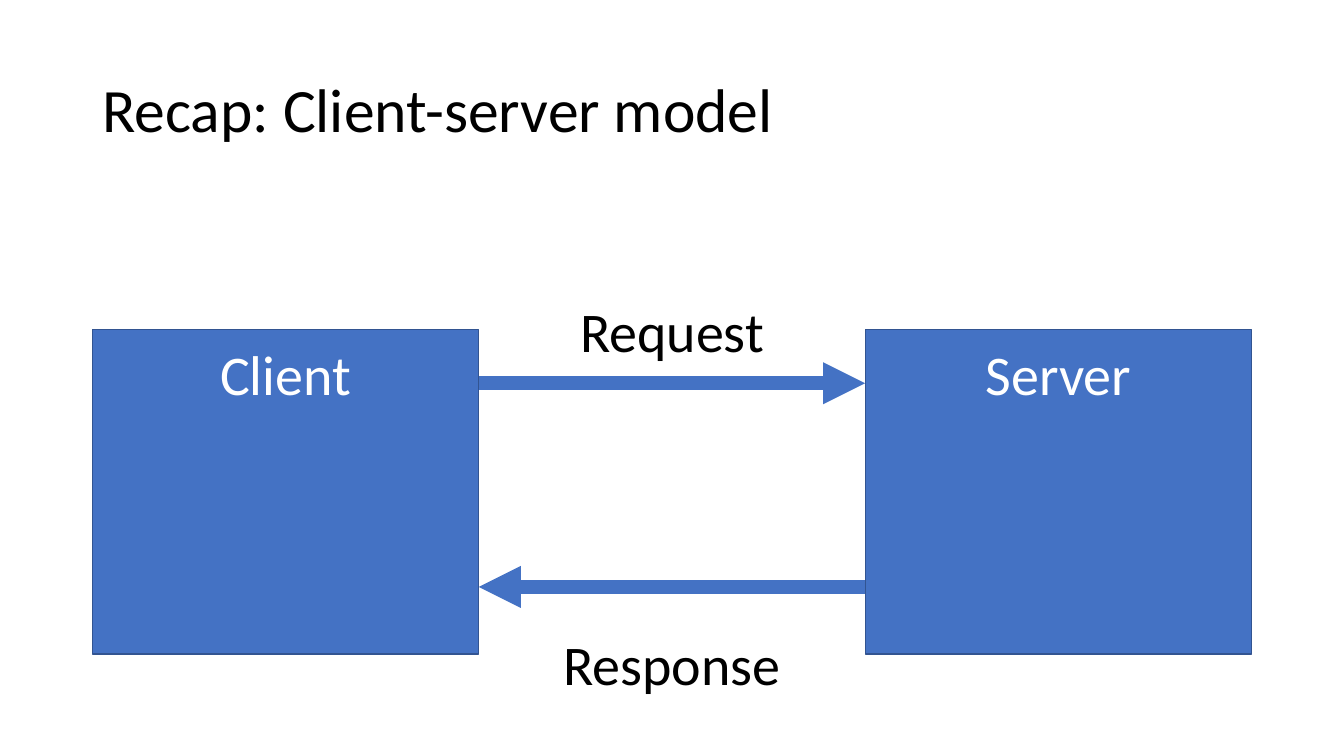
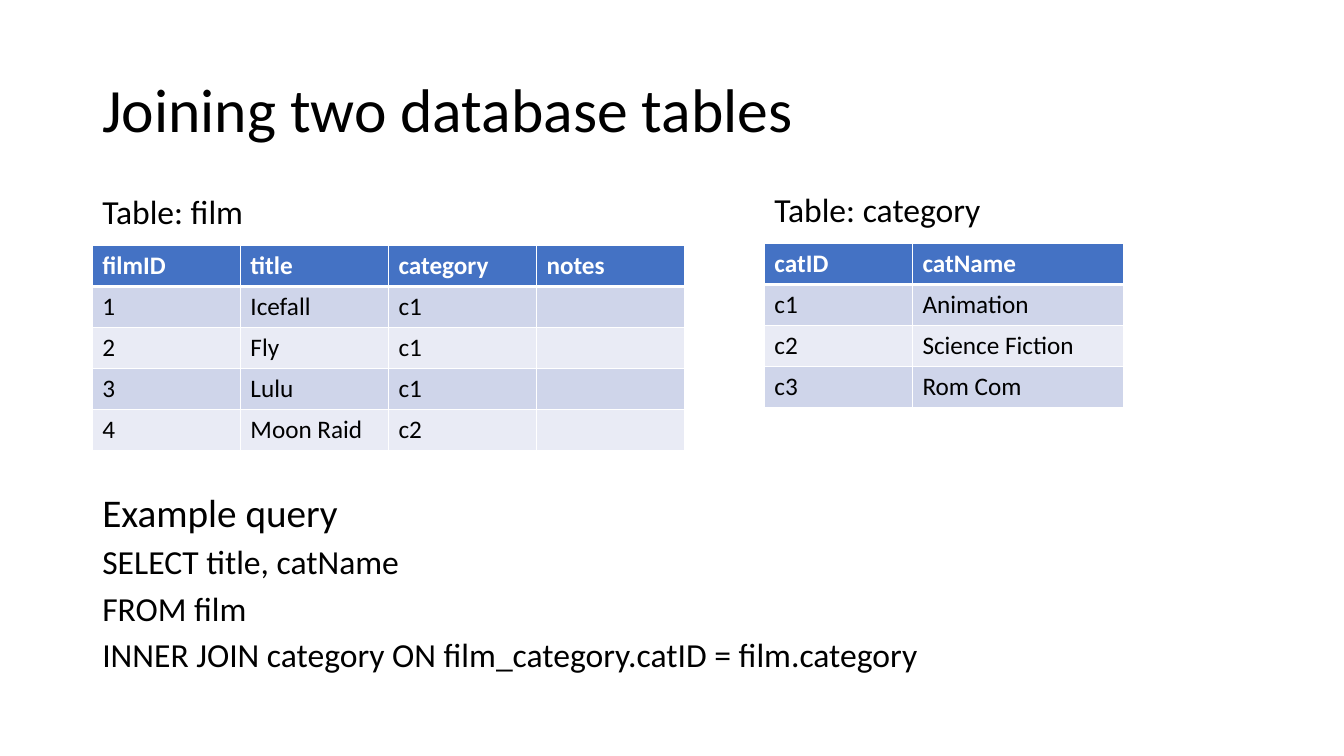
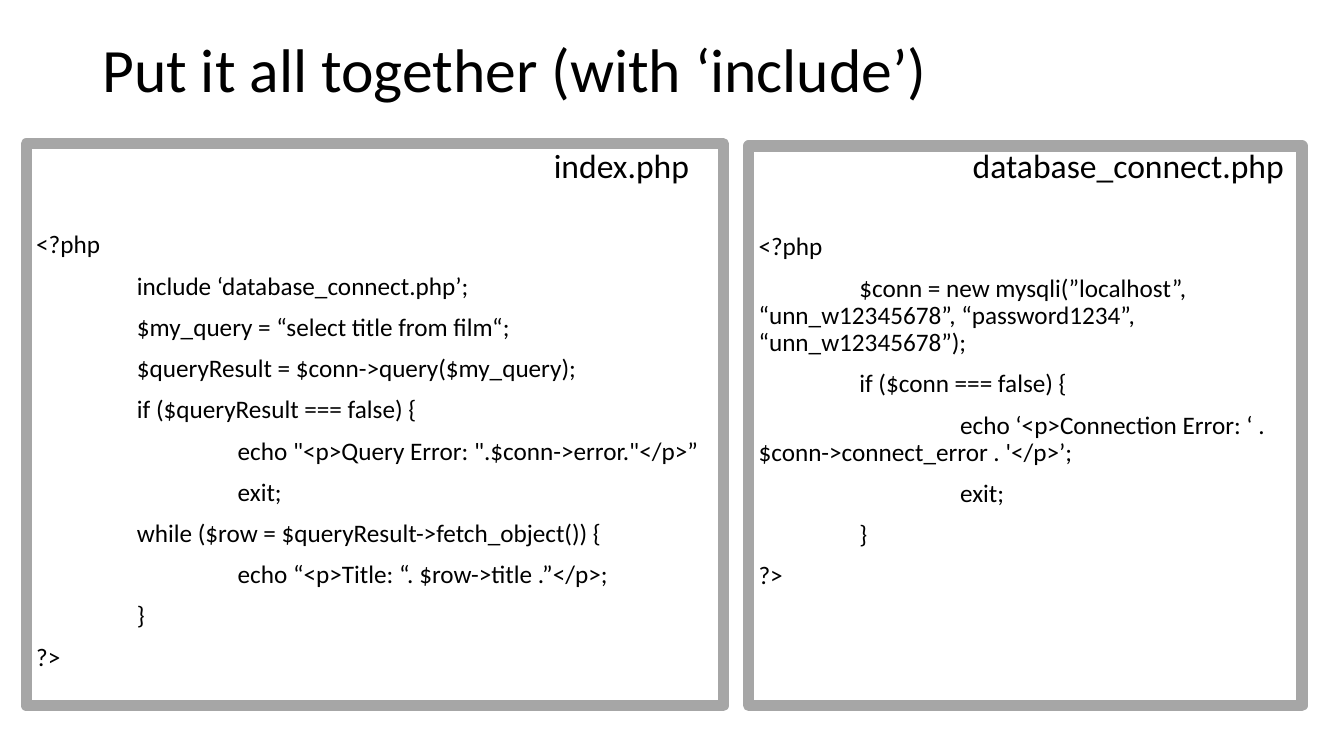
from dataclasses import dataclass
from typing import NamedTuple

from lxml.etree import SubElement
from pptx import Presentation
from pptx.dml.color import RGBColor
from pptx.enum.shapes import MSO_CONNECTOR, MSO_SHAPE
from pptx.enum.text import MSO_ANCHOR, PP_ALIGN
from pptx.oxml import parse_xml
from pptx.oxml.ns import nsdecls, qn
from pptx.util import Emu, Pt

FONT = "Calibri"
BLACK, WHITE, BLUE = "000000", "FFFFFF", "4472C4"
EDGE, GREY = "325491", "A6A6A6"
BANDS = ("CFD5EA", "E9EBF5")
LEFT, WIDE = 88, 1104
THIRD = 368
ROW = 39
TAB = 96


class Area(NamedTuple):
    x: int
    y: int
    w: int
    h: int


@dataclass(frozen=True)
class Style:
    size: int
    color: str = BLACK
    bold: bool = False
    align: PP_ALIGN = PP_ALIGN.LEFT
    anchor: MSO_ANCHOR = MSO_ANCHOR.TOP
    pitch: float = 1.0
    gap: int = 0


@dataclass(frozen=True)
class Grid:
    name: str
    x: int
    y: int
    widths: tuple[int, ...]
    rows: tuple[tuple[str, ...], ...]


@dataclass(frozen=True)
class Code:
    name: str
    area: Area
    tag: Area
    lines: tuple[tuple[int, str], ...]


HEAD = Style(44, anchor=MSO_ANCHOR.MIDDLE, pitch=0.9)
LABEL = Style(40, align=PP_ALIGN.CENTER, anchor=MSO_ANCHOR.MIDDLE)
NODE = Style(40, WHITE, align=PP_ALIGN.CENTER, anchor=MSO_ANCHOR.MIDDLE)
TAG = Style(24)
TOPIC = Style(28, pitch=0.8, gap=10)
QUERY = Style(24, pitch=0.8, gap=10)
CODE = Style(18, pitch=0.9, gap=10)
CELL = Style(18)
TOP = Style(18, WHITE, bold=True)

GRIDS = (
    Grid("film", LEFT, 234, (141,) * 4, (
        ("filmID", "title", "category", "notes"),
        ("1", "Icefall", "c1", ""),
        ("2", "Fly", "c1", ""),
        ("3", "Lulu", "c1", ""),
        ("4", "Moon Raid", "c2", ""),
    )),
    Grid("category", 728, 232, (141, 201), (
        ("catID", "catName"),
        ("c1", "Animation"),
        ("c2", "Science Fiction"),
        ("c3", "Rom Com"),
    )),
)

CODES = (
    Code("index.php", Area(25, 137, 664, 535), Area(518, 133, 160, 48), (
        (0, "<?php"),
        (1, "include ‘database_connect.php’;"),
        (1, "$my_query = “select title from film“;"),
        (1, "$queryResult = $conn->query($my_query);"),
        (1, "if ($queryResult === false) {"),
        (2, 'echo "<p>Query Error: ".$conn->error."</p>”'),
        (2, "exit;"),
        (1, "while ($row = $queryResult->fetch_object()) {"),
        (2, "echo “<p>Title: “. $row->title .”</p>;"),
        (1, "}"),
        (0, "?>"),
    )),
    Code("database_connect.php", Area(713, 139, 527, 533), Area(917, 133, 340, 48), (
        (0, "<?php"),
        (1, "$conn = new mysqli(”localhost”, “unn_w12345678”, "
            "“password1234”, “unn_w12345678”);"),
        (1, "if ($conn === false) {"),
        (2, "echo ‘<p>Connection Error: ‘ . $conn->connect_error . '</p>’;"),
        (2, "exit;"),
        (1, "}"),
        (0, "?>"),
    )),
)


def px(size: int) -> Emu:
    return Emu(size * 9525)


def place(area: Area) -> list[Emu]:
    return [px(side) for side in area]


def tint(code: str) -> RGBColor:
    return RGBColor.from_string(code)


def write(para, words: str, style: Style) -> None:
    para.text = words
    para.alignment = style.align
    para.line_spacing = style.pitch
    para.space_before = Pt(style.gap)
    for run in para.runs:
        run.font.name = FONT
        run.font.size = Pt(style.size)
        run.font.bold = style.bold
        run.font.color.rgb = tint(style.color)


def fill_text(frame, lines: list[tuple[str, Style]]) -> None:
    frame.word_wrap = True
    frame.vertical_anchor = lines[0][1].anchor
    for spot, (words, style) in enumerate(lines):
        para = frame.add_paragraph() if spot else frame.paragraphs[0]
        write(para, words, style)


def add_text(slide, area: Area, *lines: tuple[str, Style]) -> None:
    fill_text(slide.shapes.add_textbox(*place(area)).text_frame, list(lines))


def add_box(slide, area: Area, fill: str, edge: str, weight: int):
    box = slide.shapes.add_shape(MSO_SHAPE.RECTANGLE, *place(area))
    box.shadow.inherit = False
    if fill:
        box.fill.solid()
        box.fill.fore_color.rgb = tint(fill)
    else:
        box.fill.background()
    box.line.color.rgb = tint(edge)
    box.line.width = Pt(weight)
    return box


def add_arrow(slide, start: int, end: int, y: int) -> None:
    arrow = slide.shapes.add_connector(
        MSO_CONNECTOR.STRAIGHT, px(start), px(y), px(end), px(y))
    arrow.line.color.rgb = tint(BLUE)
    arrow.line.width = Pt(10)
    SubElement(arrow.line._get_or_add_ln(), qn("a:tailEnd"), type="triangle")
    SubElement(arrow._element.spPr, qn("a:effectLst"))


def add_edges(cell, top: int, base: int) -> None:
    props = cell._tc.get_or_add_tcPr()
    for spot, (side, weight) in enumerate(zip("LRTB", (1, 1, top, base))):
        props.insert(spot, parse_xml(
            f'<a:ln{side} {nsdecls("a")} w="{Pt(weight)}"><a:solidFill>'
            f'<a:srgbClr val="{WHITE}"/></a:solidFill></a:ln{side}>'))


def add_grid(slide, grid: Grid) -> None:
    area = Area(grid.x, grid.y, sum(grid.widths), ROW * len(grid.rows))
    table = slide.shapes.add_table(
        len(grid.rows), len(grid.widths), *place(area)).table
    for col, width in zip(table.columns, grid.widths):
        col.width = px(width)
    for r, row in enumerate(grid.rows):
        table.rows[r].height = px(ROW)
        for c, words in enumerate(row):
            cell = table.cell(r, c)
            write(cell.text_frame.paragraphs[0], words, CELL if r else TOP)
            cell.fill.solid()
            cell.fill.fore_color.rgb = tint(BANDS[(r - 1) % 2] if r else BLUE)
            add_edges(cell, 3 if r == 1 else 1, 1 if r else 3)
    add_text(slide, Area(grid.x, grid.y - 57, 242, 48),
             (f"Table: {grid.name}", TAG))


def add_code(slide, code: Code) -> None:
    frame = add_box(slide, code.area, "", GREY, 8).text_frame
    fill_text(frame, [(words, CODE) for _, words in code.lines])
    frame.margin_top = px(84)
    for para, (depth, _) in zip(frame.paragraphs, code.lines):
        para._p.get_or_add_pPr().set("indent", str(px(TAB * depth)))
    add_text(slide, code.tag, (code.name, TAG))


def add_slide(deck, title: str, top: int = 38):
    slide = deck.slides.add_slide(deck.slide_layouts[6])
    add_text(slide, Area(LEFT, top, WIDE, 139), (title, HEAD))
    return slide


def draw_model(deck) -> None:
    slide = add_slide(deck, "Recap: Client-server model")
    near, far = LEFT + THIRD, LEFT + 2 * THIRD
    add_arrow(slide, near, far, 365)
    add_arrow(slide, far, near, 559)
    add_text(slide, Area(near, 249, THIRD, 131), ("Request", LABEL))
    add_text(slide, Area(LEFT, 566, WIDE, 131), ("Response", LABEL))
    for x, name in ((LEFT, "Client"), (far, "Server")):
        add_box(slide, Area(x, 314, THIRD, 309), BLUE, EDGE, 1)
        add_text(slide, Area(x, 313, THIRD, 84), (name, NODE))


def draw_join(deck) -> None:
    slide = add_slide(deck, "Joining two database tables")
    for grid in GRIDS:
        add_grid(slide, grid)
    add_text(
        slide, Area(LEFT, 469, 937, 180),
        ("Example query", TOPIC),
        ("SELECT title, catName", QUERY),
        ("FROM film", QUERY),
        ("INNER JOIN category ON film_category.catID = film.category", QUERY))


def draw_code(deck) -> None:
    slide = add_slide(deck, "Put it all together (with ‘include’)", 0)
    for code in CODES:
        add_code(slide, code)


def main() -> None:
    deck = Presentation()
    deck.slide_width, deck.slide_height = px(1280), px(720)
    draw_model(deck)
    draw_join(deck)
    draw_code(deck)
    deck.save("out.pptx")


if __name__ == "__main__":
    main()
